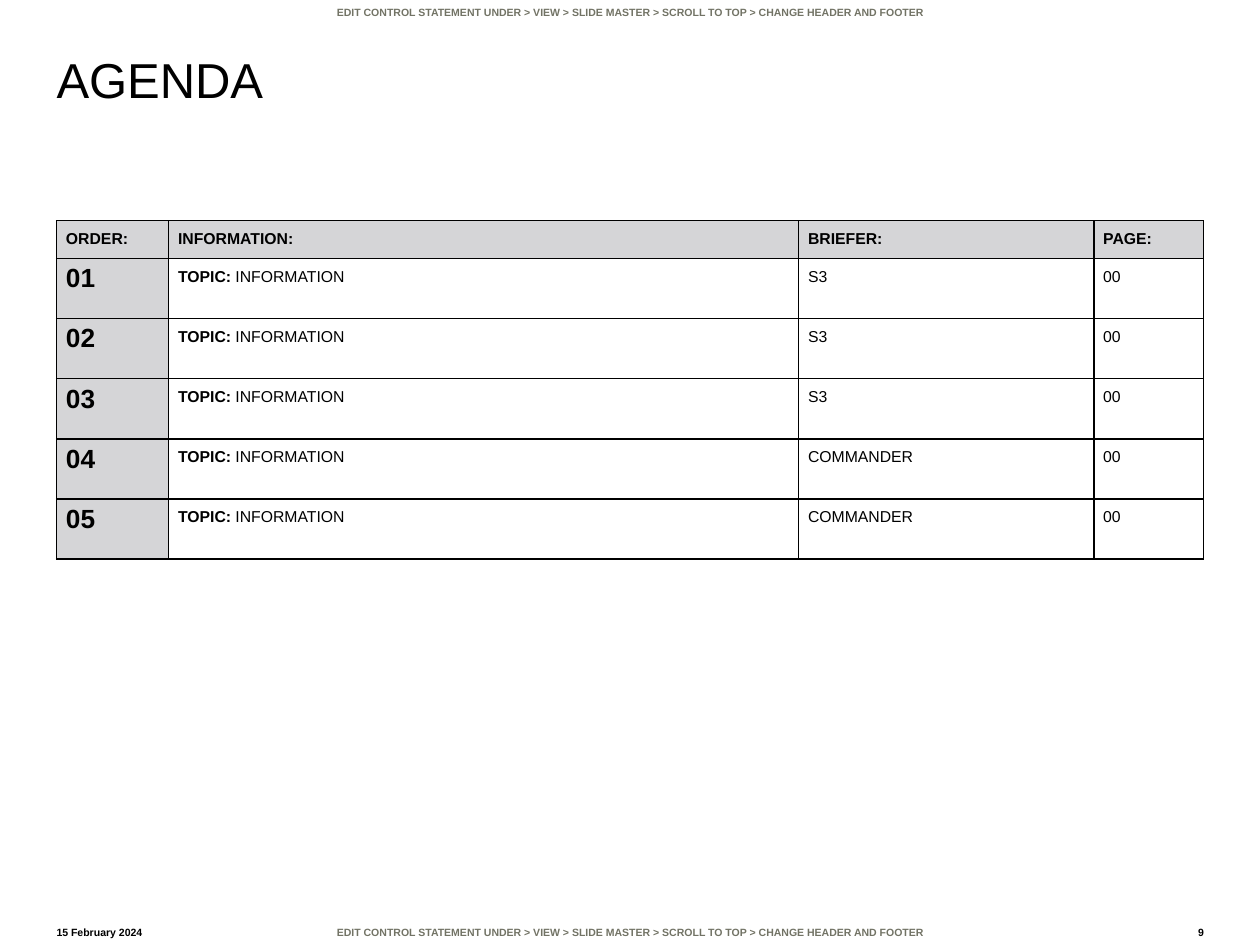
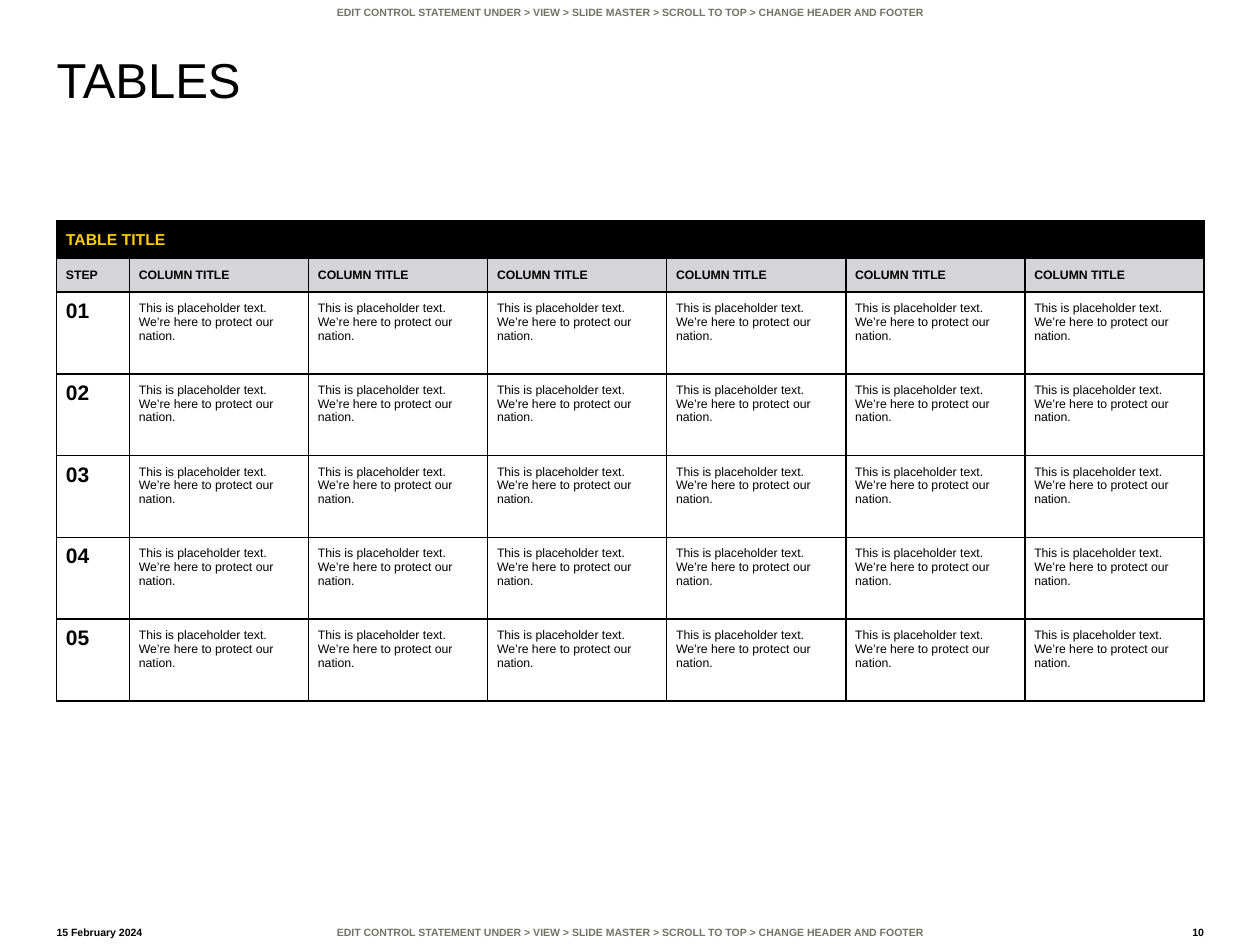
from lxml import etree
from pptx import Presentation
from pptx.dml.color import RGBColor
from pptx.enum.text import MSO_ANCHOR, PP_ALIGN
from pptx.oxml.ns import qn
from pptx.util import Cm, Pt

TOP, MIDDLE, BOTTOM = MSO_ANCHOR.TOP, MSO_ANCHOR.MIDDLE, MSO_ANCHOR.BOTTOM
LEFT, CENTER, RIGHT = PP_ALIGN.LEFT, PP_ALIGN.CENTER, PP_ALIGN.RIGHT

COLORS = {"black": "000000", "gold": "FFCC01", "gray": "D5D5D7", "control": "727365"}
FONT = "Arial"
MARGIN = 1.14
TABLE_TOP = 4.45
TABLE_WIDTH = 23.12
CELL_PADDING = 0.19
CONTROL_STATEMENT = (
    "EDIT CONTROL STATEMENT UNDER > VIEW > SLIDE MASTER > SCROLL TO TOP > CHANGE HEADER AND FOOTER"
)
PLACEHOLDER = "This is placeholder text. We’re here to protect our nation."


def write_text(frame, text, size, color="black", bold=False, align=LEFT, spacing=None, lead=""):
    """Write one paragraph; lead is a bold opening before the text."""
    paragraph = frame.paragraphs[0]
    paragraph.alignment = align
    if spacing:
        paragraph.line_spacing = spacing
    for words, is_bold in ((lead, True), (text, bold)):
        if words:
            run = paragraph.add_run()
            run.text = words
            run.font.name = FONT
            run.font.size = Pt(size)
            run.font.bold = is_bold
            run.font.color.rgb = RGBColor.from_string(COLORS[color])


def style_cell(cell, fill=None, anchor=TOP, bottom=CELL_PADDING):
    """Set the padding, fill and black 1 pt borders of a table cell."""
    cell.margin_left = cell.margin_right = cell.margin_top = Cm(CELL_PADDING)
    cell.margin_bottom = Cm(bottom)
    cell.vertical_anchor = anchor
    if fill:
        cell.fill.solid()
        cell.fill.fore_color.rgb = RGBColor.from_string(COLORS[fill])
    else:
        cell.fill.background()
    properties = cell._tc.get_or_add_tcPr()
    for position, side in enumerate(("lnL", "lnR", "lnT", "lnB")):
        border = etree.Element(qn(f"a:{side}"), w=str(Pt(1)))
        solid = etree.SubElement(border, qn("a:solidFill"))
        etree.SubElement(solid, qn("a:srgbClr"), val=COLORS["black"])
        properties.insert(position, border)


presentation = Presentation()
presentation.slide_width = Cm(25.4)
presentation.slide_height = Cm(19.05)
blank_layout = presentation.slide_layouts[6]

# Slide frame: title, control statements, date and page number
slides = []
for title, page in (("AGENDA", "9"), ("TABLES", "10")):
    slide = presentation.slides.add_slide(blank_layout)
    slides.append(slide)
    small = {"size": 6, "bold": True}
    control = {**small, "color": "control", "align": CENTER}
    frame_texts = [
        (CONTROL_STATEMENT, (2.9, 18.54, 19.6, 0.51), 0.13, BOTTOM, control),
        (CONTROL_STATEMENT, (2.9, 0, 19.6, 0.51), 0.13, TOP, control),
        (title, (MARGIN, 1.14, 17.15, 1.9), 0, TOP, {"size": 28, "spacing": 0.9}),
        ("15 February 2024", (MARGIN, 18.42, 1.73, 0.63), 0.13, BOTTOM, small),
        (page, (23.36, 18.42, 0.91, 0.63), 0.13, BOTTOM, {**small, "align": RIGHT}),
    ]
    for text, box, padding, anchor, text_format in frame_texts:
        frame = slide.shapes.add_textbox(*map(Cm, box)).text_frame
        frame.word_wrap = True
        frame.margin_left = frame.margin_right = 0
        frame.margin_top = frame.margin_bottom = Cm(padding)
        frame.vertical_anchor = anchor
        write_text(frame, text, **text_format)

# Empty tables with their column widths and row heights
table_grids = [
    ([2.26, 12.7, 5.95, 2.21], [0.76] + [1.21] * 5, 6.78),
    ([1.47] + [3.61] * 6, [0.76, 0.66] + [1.35] * 5, 9.7),
]
tables = []
for slide, (widths, heights, total_height) in zip(slides, table_grids):
    table = slide.shapes.add_table(
        len(heights), len(widths), Cm(MARGIN), Cm(TABLE_TOP), Cm(TABLE_WIDTH), Cm(total_height)
    ).table
    table.first_row = table.horz_banding = False
    for column, width in zip(table.columns, widths):
        column.width = Cm(width)
    for row, height in zip(table.rows, heights):
        row.height = Cm(height)
    tables.append(table)
agenda, steps = tables

# Agenda
for column, heading in enumerate(("ORDER:", "INFORMATION:", "BRIEFER:", "PAGE:")):
    cell = agenda.cell(0, column)
    style_cell(cell, "gray")
    write_text(cell.text_frame, heading, 9, bold=True)

briefers = ["S3", "S3", "S3", "COMMANDER", "COMMANDER"]
for row, briefer in enumerate(briefers, start=1):
    order, topic, person, page = agenda.rows[row].cells
    style_cell(order, "gray", bottom=0.48)
    write_text(order.text_frame, f"{row:02}", 15, bold=True, spacing=0.85)
    for cell, text, lead in ((topic, " INFORMATION", "TOPIC:"), (person, briefer, ""), (page, "00", "")):
        style_cell(cell, bottom=0.48)
        write_text(cell.text_frame, text, 9, lead=lead)

# Step table
column_count = len(steps.columns)
for column in range(column_count):
    style_cell(steps.cell(0, column), "black", MIDDLE)
    heading = steps.cell(1, column)
    style_cell(heading, "gray", MIDDLE)
    write_text(heading.text_frame, "COLUMN TITLE" if column else "STEP", 7, bold=True)
table_title = steps.cell(0, 0)
table_title.merge(steps.cell(0, column_count - 1))
write_text(table_title.text_frame, "TABLE TITLE", 9, "gold", bold=True)

for step in range(1, 6):
    for column in range(column_count):
        cell = steps.cell(step + 1, column)
        style_cell(cell, bottom=0.57)
        if column:
            write_text(cell.text_frame, PLACEHOLDER, 7)
        else:
            write_text(cell.text_frame, f"{step:02}", 12, bold=True, spacing=0.9)

presentation.save("out.pptx")
